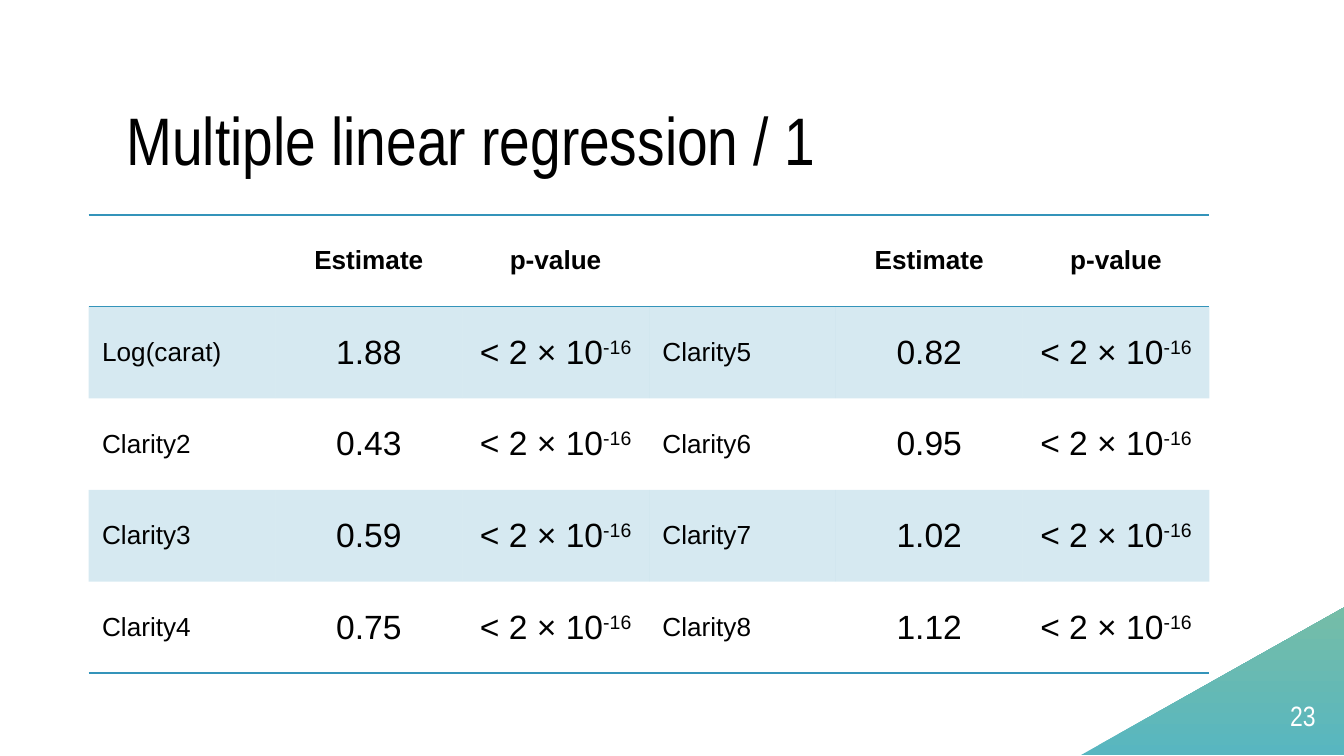
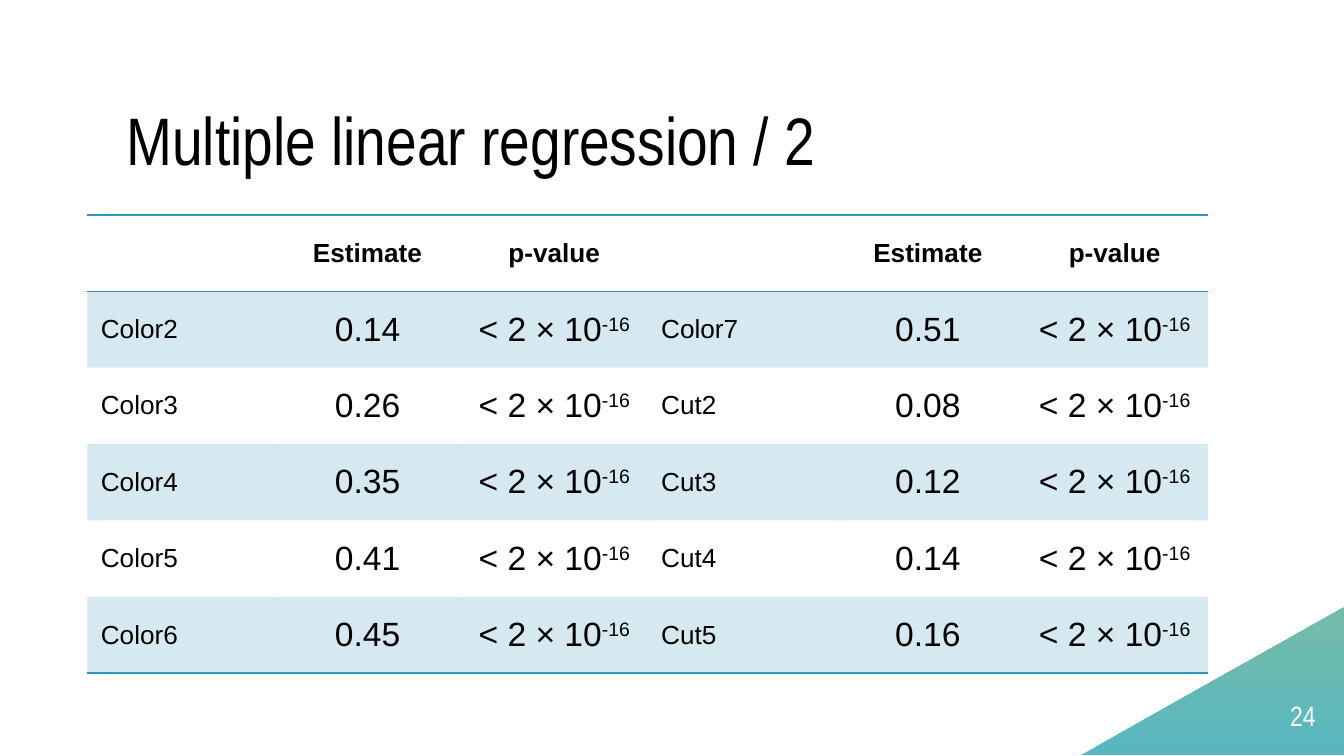
from lxml import etree
from pptx import Presentation
from pptx.dml.color import RGBColor
from pptx.enum.shapes import MSO_SHAPE
from pptx.enum.text import MSO_ANCHOR, MSO_AUTO_SIZE, PP_ALIGN
from pptx.oxml.ns import qn
from pptx.util import Inches, Pt

LEFT, CENTER, RIGHT = PP_ALIGN.LEFT, PP_ALIGN.CENTER, PP_ALIGN.RIGHT
MIDDLE, BOTTOM = MSO_ANCHOR.MIDDLE, MSO_ANCHOR.BOTTOM
NO_FIT = MSO_AUTO_SIZE.NONE
RIGHT_TRIANGLE = MSO_SHAPE.RIGHT_TRIANGLE

BLACK, WHITE = "000000", "FFFFFF"
ACCENT, TEAL, GREEN = "3494BA", "58B6C0", "75BDA7"
HEAD_FONT, BODY_FONT = "Arial Narrow", "Arial"
PLAIN_TABLE = "{2D5ABB26-0587-4C30-8999-92F81FD0307C}"

SLIDE_WIDTH = 10
SLIDE_HEIGHT = SLIDE_WIDTH * 9 / 16
HEADER = ["", "Estimate", "p-value"] * 2
P_VALUE = ("< 2 × 10", "-16")
TABLE_TOP, TABLE_HEIGHT, COL_WIDTH = 1.6, 3.41, 1.39

CLARITY_TERMS = [
    ("Log(carat)", "1.88"), ("Clarity2", "0.43"), ("Clarity3", "0.59"), ("Clarity4", "0.75"),
    ("Clarity5", "0.82"), ("Clarity6", "0.95"), ("Clarity7", "1.02"), ("Clarity8", "1.12"),
]
COLOR_CUT_TERMS = [
    ("Color2", "0.14"), ("Color3", "0.26"), ("Color4", "0.35"), ("Color5", "0.41"),
    ("Color6", "0.45"), ("Color7", "0.51"), ("Cut2", "0.08"), ("Cut3", "0.12"),
    ("Cut4", "0.14"), ("Cut5", "0.16"),
]


def rgb(value):
    """Return a colour from a hex string."""
    return RGBColor.from_string(value)


def style_paragraph(p, size, font=BODY_FONT, color=BLACK, align=LEFT, bold=False):
    """Set the font and alignment of a paragraph."""
    p.alignment = align
    p.font.size, p.font.name, p.font.bold = Pt(size), font, bold
    p.font.color.rgb = rgb(color)


def set_frame(tf, anchor):
    """Give a text frame zero margins, wrapping and an anchor."""
    tf.margin_left = tf.margin_top = tf.margin_right = tf.margin_bottom = 0
    tf.word_wrap, tf.auto_size = True, NO_FIT
    tf.vertical_anchor = anchor


def add_corner(slide):
    """Draw the gradient triangle in the bottom right corner."""
    sp = slide.shapes.add_shape(
        RIGHT_TRIANGLE, Inches(8.47), Inches(4.09), Inches(1.1), Inches(1.96))
    sp.rotation = 270
    sp.shadow.inherit = False
    sp.line.fill.background()
    sp.fill.gradient()
    sp.fill.gradient_angle = 0
    for stop, color in zip(sp.fill.gradient_stops, (TEAL, GREEN)):
        stop.color.rgb = rgb(color)


def add_title(slide, text):
    """Place and fill the title placeholder."""
    sp = slide.shapes.title
    sp.left, sp.top, sp.width, sp.height = Inches(0.94), Inches(0.91), Inches(8.14), Inches(0.43)
    set_frame(sp.text_frame, BOTTOM)
    p = sp.text_frame.paragraphs[0]
    p.text = text
    p.line_spacing = 0.9
    style_paragraph(p, 36, HEAD_FONT)


def add_number(slide, number):
    """Write the slide number on the corner triangle."""
    sp = slide.shapes.add_textbox(Inches(9.19), Inches(5.11), Inches(0.6), Inches(0.43))
    set_frame(sp.text_frame, MIDDLE)
    p = sp.text_frame.paragraphs[0]
    p.text = str(number)
    style_paragraph(p, 15, HEAD_FONT, WHITE, RIGHT)


def set_borders(cell, sides):
    """Draw one-point accent lines on the given sides of a cell."""
    tcPr = cell._tc.get_or_add_tcPr()
    for i, side in enumerate(sides):
        ln = etree.Element(qn(f"a:ln{side}"), w=str(Pt(1)))
        fill = etree.SubElement(ln, qn("a:solidFill"))
        etree.SubElement(fill, qn("a:srgbClr"), val=ACCENT)
        tcPr.insert(i, ln)


def set_fill(cell, banded):
    """Tint a banded cell and clear any other."""
    if not banded:
        cell.fill.background()
        return
    cell.fill.solid()
    cell.fill.fore_color.rgb = rgb(ACCENT)
    color = cell._tc.tcPr.find(".//" + qn("a:srgbClr"))
    etree.SubElement(color, qn("a:alpha"), val="20000")


def fill_cell(cell, content, size, align, bold):
    """Write a string, or a base and its exponent, into a cell."""
    cell.vertical_anchor = MIDDLE
    p = cell.text_frame.paragraphs[0]
    style_paragraph(p, size, align=align, bold=bold)
    if isinstance(content, str):
        p.text = content
        return
    for text in content:
        r = p.add_run()
        r.text = text
    r.font._element.set("baseline", "30000")


def add_estimates(slide, left, terms):
    """Add the table of estimates, with the terms in two halves side by side."""
    half = len(terms) // 2
    rows = [HEADER] + [
        [*a, P_VALUE, *b, P_VALUE] for a, b in zip(terms[:half], terms[half:])]
    cols = len(HEADER)
    frame = slide.shapes.add_table(
        len(rows), cols, Inches(left), Inches(TABLE_TOP),
        Inches(COL_WIDTH * cols), Inches(TABLE_HEIGHT))
    table = frame.table
    table._tbl.tblPr.find(qn("a:tableStyleId")).text = PLAIN_TABLE
    for column in table.columns:
        column.width = Inches(COL_WIDTH)
    for i, row in enumerate(rows):
        table.rows[i].height = Inches(TABLE_HEIGHT / len(rows))
        sides = "TB" if i == 0 else "B" if i == half else ""
        for j, content in enumerate(row):
            cell = table.cell(i, j)
            is_name = j % 3 == 0
            fill_cell(cell, content, 14 if i == 0 or is_name else 18,
                      LEFT if is_name else CENTER, i == 0)
            set_fill(cell, i % 2 == 1)
            set_borders(cell, sides)


def add_regression_slide(prs, part, number, left, terms):
    """Build one slide of regression results."""
    slide = prs.slides.add_slide(prs.slide_layouts[5])
    add_corner(slide)
    add_title(slide, f"Multiple linear regression / {part}")
    add_number(slide, number)
    add_estimates(slide, left, terms)


def main():
    """Build and save the presentation."""
    prs = Presentation()
    prs.slide_width, prs.slide_height = Inches(SLIDE_WIDTH), Inches(SLIDE_HEIGHT)
    add_regression_slide(prs, 1, 23, 0.66, CLARITY_TERMS)
    add_regression_slide(prs, 2, 24, 0.65, COLOR_CUT_TERMS)
    prs.save("out.pptx")


if __name__ == "__main__":
    main()
